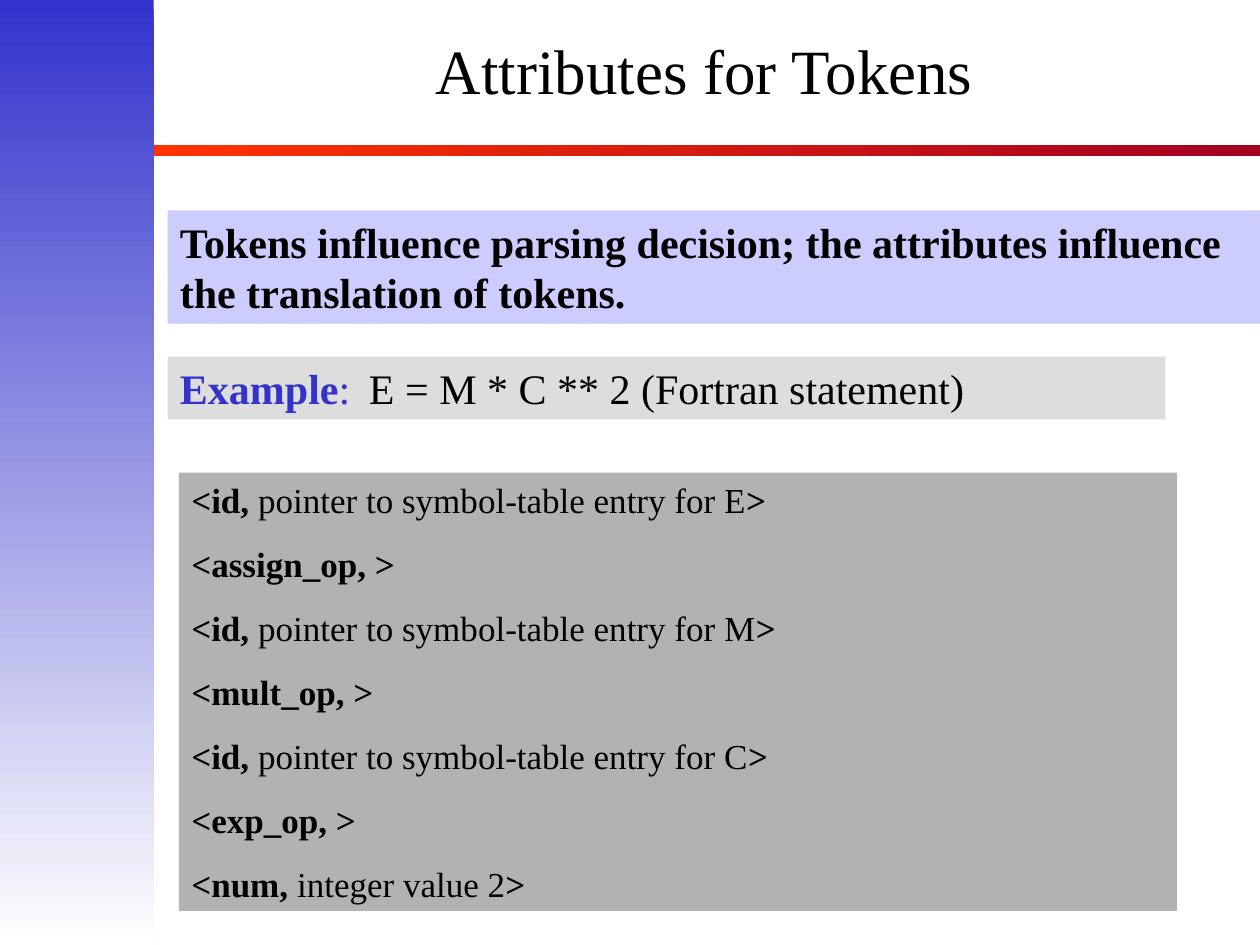
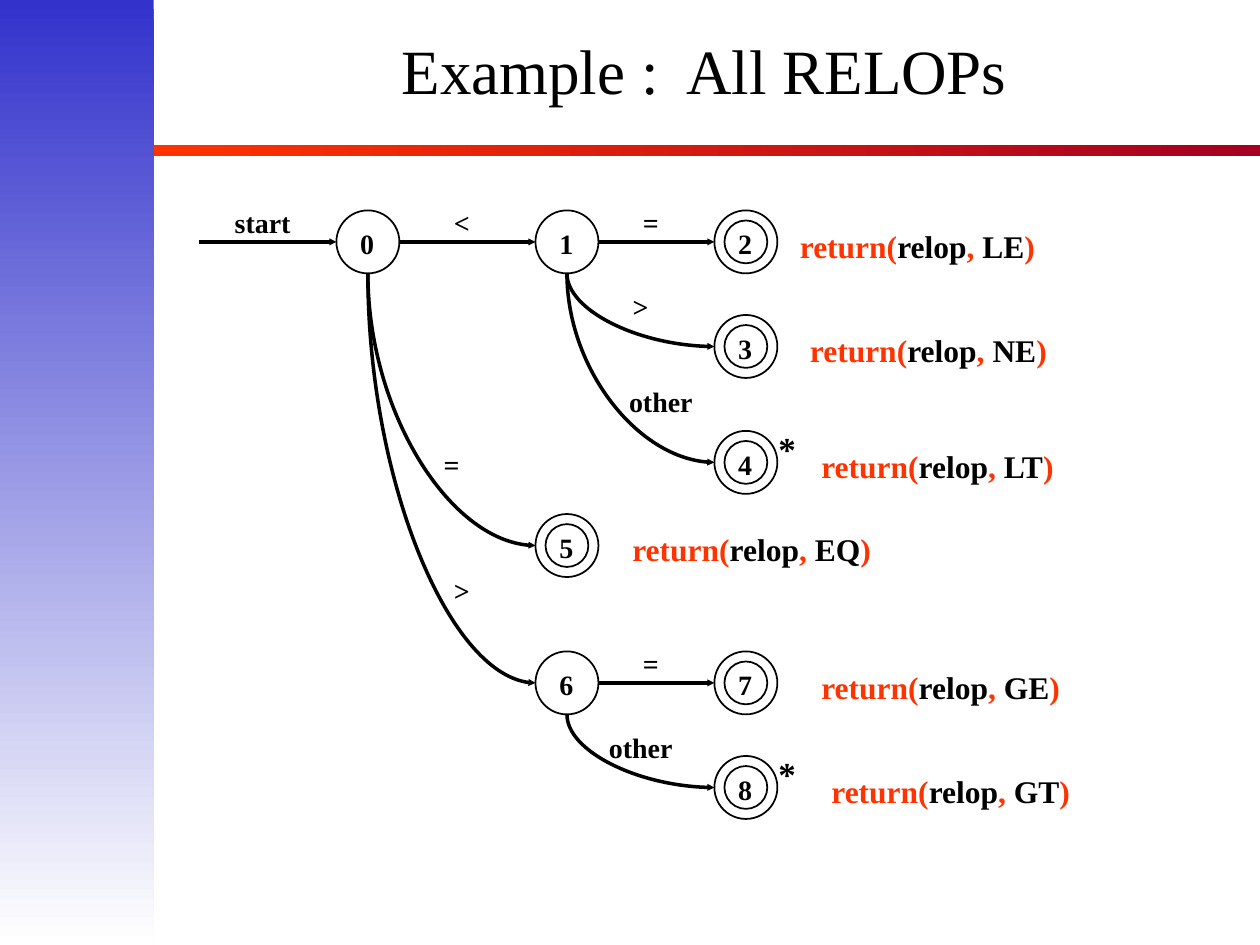
"""Build two compiler-lecture slides: token attributes and the relational-operator diagram."""
from dataclasses import dataclass
from typing import NamedTuple

from pptx import Presentation
from pptx import util as u
from pptx.dml.color import RGBColor
from pptx.enum import shapes, text
from pptx.oxml import ns
from lxml import etree


@dataclass(frozen=True)
class Theme:
    font: str = "Times New Roman"
    black: str = "000000"
    white: str = "FFFFFF"
    blue: str = "3333CC"
    orange: str = "FF3300"
    crimson: str = "A50021"
    lilac: str = "CCCCFF"
    light_grey: str = "DDDDDD"
    mid_grey: str = "B2B2B2"
    title: int = 36
    statement: int = 24
    listing: int = 20
    action: int = 18
    label: int = 16
    edge_width: float = 2
    ring_width: float = 1


THEME = Theme()
CENTER, LEFT = text.PP_ALIGN.CENTER, text.PP_ALIGN.LEFT


class Run(NamedTuple):
    text: str
    bold: bool = True
    color: str = THEME.black


class Box(NamedTuple):
    left: float
    top: float
    width: float
    height: float


@dataclass(frozen=True)
class TextBlock:
    box: Box
    paragraphs: list[list[Run]]
    size: int
    align: text.PP_ALIGN = LEFT
    fill: str | None = None
    space_before: float = 0
    line_spacing: float | None = None
    anchor: text.MSO_ANCHOR = text.MSO_ANCHOR.TOP
    auto_size: text.MSO_AUTO_SIZE = text.MSO_AUTO_SIZE.SHAPE_TO_FIT_TEXT


@dataclass(frozen=True)
class State:
    x: float
    y: float
    result: str = ""
    result_left: float = 0
    retracts: bool = False


class Edge(NamedTuple):
    source: int
    target: int
    label: str
    label_left: float
    label_top: float


RADIUS, INNER_RADIUS = 0.25, 0.17
START_X = 1.58
COLUMNS = (2.92, 4.5, 5.92)
ROWS = (1.92, 2.75, 3.67, 4.33, 5.42, 6.25)
STATES = [
    State(COLUMNS[0], ROWS[0]),
    State(COLUMNS[1], ROWS[0]),
    State(COLUMNS[2], ROWS[0], "LE", 6.25),
    State(COLUMNS[2], ROWS[1], "NE", 6.33),
    State(COLUMNS[2], ROWS[2], "LT", 6.42, True),
    State(COLUMNS[1], ROWS[3], "EQ", 4.92),
    State(COLUMNS[1], ROWS[4]),
    State(COLUMNS[2], ROWS[4], "GE", 6.42),
    State(COLUMNS[2], ROWS[5], "GT", 6.5, True),
]
EDGES = [
    Edge(0, 1, "<", 3.25, 1.58),
    Edge(1, 2, "=", 4.75, 1.58),
    Edge(1, 3, ">", 4.67, 2.25),
    Edge(1, 4, "other", 4.83, 3),
    Edge(0, 5, "=", 3.17, 3.5),
    Edge(0, 6, ">", 3.25, 4.5),
    Edge(6, 7, "=", 4.75, 5.08),
    Edge(6, 8, "other", 4.67, 5.75),
]
TOKENS = [
    ("<id, ", "pointer to symbol-table entry for E"),
    ("<assign_op, ", ""),
    ("<id, ", "pointer to symbol-table entry for M"),
    ("<mult_op, ", ""),
    ("<id, ", "pointer to symbol-table entry for C"),
    ("<exp_op, ", ""),
    ("<num, ", "integer value 2"),
]


def rgb(color: str) -> RGBColor:
    return RGBColor.from_string(color)


def apply(target, values: dict) -> None:
    for name, value in values.items():
        setattr(target, name, value)


def add_preset(slide, kind, box: Box):
    shape = slide.shapes.add_shape(kind, *map(u.Inches, box))
    shape.shadow.inherit = False
    shape.line.fill.background()
    return shape


def add_gradient(slide, box: Box, colors: tuple[str, str], angle: float) -> None:
    shape = add_preset(slide, shapes.MSO_SHAPE.RECTANGLE, box)
    shape.fill.gradient()
    shape.fill.gradient_angle = angle
    for stop, color in zip(shape.fill.gradient_stops, colors):
        stop.color.rgb = rgb(color)


def add_text(slide, block: TextBlock) -> None:
    if block.fill:
        shape = add_preset(slide, shapes.MSO_SHAPE.RECTANGLE, block.box)
        shape.fill.solid()
        shape.fill.fore_color.rgb = rgb(block.fill)
    else:
        shape = slide.shapes.add_textbox(*map(u.Inches, block.box))
    frame = shape.text_frame
    apply(frame, {"word_wrap": True, "auto_size": block.auto_size,
                  "vertical_anchor": block.anchor})
    for index, runs in enumerate(block.paragraphs):
        paragraph = frame.add_paragraph() if index else frame.paragraphs[0]
        apply(paragraph, {"alignment": block.align, "line_spacing": block.line_spacing,
                          "space_before": u.Pt(block.space_before if index else 0)})
        for item in runs:
            run = paragraph.add_run()
            run.text = item.text
            apply(run.font, {"name": THEME.font, "size": u.Pt(block.size), "bold": item.bold})
            run.font.color.rgb = rgb(item.color)


def add_label(slide, content: str, box: Box, size: int = THEME.label) -> None:
    add_text(slide, TextBlock(box, [[Run(content)]], size, CENTER))


def add_ring(slide, state: State, radius: float) -> None:
    box = Box(state.x - radius, state.y - radius, 2 * radius, 2 * radius)
    ring = add_preset(slide, shapes.MSO_SHAPE.OVAL, box)
    ring.fill.background()
    ring.line.color.rgb = rgb(THEME.black)
    ring.line.width = u.Pt(THEME.ring_width)


def add_arrow(slide, x1: float, y1: float, x2: float, y2: float) -> None:
    """Draw a straight arrow, or a curve leaving downwards when the ends differ in height."""
    connector = slide.shapes.add_connector(
        shapes.MSO_CONNECTOR.STRAIGHT, *map(u.Inches, (x1, y1, x2, y2)))
    connector.line.color.rgb = rgb(THEME.black)
    connector.line.width = u.Pt(THEME.edge_width)
    properties = connector._element.spPr
    etree.SubElement(properties.find(ns.qn("a:ln")), ns.qn("a:tailEnd"),
                     type="triangle", w="sm", len="sm")
    etree.SubElement(properties, ns.qn("a:effectLst"))
    if y1 != y2:
        across, down = x2 - x1, y2 - y1
        apply(connector, {"left": u.Inches((x1 + x2 - down) / 2),
                          "top": u.Inches((y1 + y2 - across) / 2),
                          "width": u.Inches(down), "height": u.Inches(across)})
        transform = properties.find(ns.qn("a:xfrm"))
        transform.set("rot", "16200000")
        transform.set("flipH", "1")
        properties.find(ns.qn("a:prstGeom")).set("prst", "curvedConnector2")


def add_state(slide, number: int, state: State) -> None:
    add_ring(slide, state, RADIUS)
    if state.result:
        add_ring(slide, state, INNER_RADIUS)
        runs = [Run("return(", color=THEME.orange), Run("relop"),
                Run(", ", color=THEME.orange), Run(state.result),
                Run(")", color=THEME.orange)]
        box = Box(state.result_left, state.y - 0.17, 2.92, 0.4)
        add_text(slide, TextBlock(box, [runs], THEME.action))
    add_label(slide, str(number), Box(state.x - 0.17, state.y - 0.17, 0.33, 0.37))
    if state.retracts:
        add_label(slide, "*", Box(state.x + 0.16, state.y - 0.33, 0.33, 0.44), THEME.listing)


def add_edge(slide, edge: Edge) -> None:
    source, target = STATES[edge.source], STATES[edge.target]
    if source.y == target.y:
        start = (source.x + RADIUS, source.y)
    else:
        start = (source.x, source.y + RADIUS)
    add_arrow(slide, *start, target.x - RADIUS, target.y)
    add_label(slide, edge.label, Box(edge.label_left, edge.label_top, 0.83, 0.37))


def add_base_slide(presentation, title: str):
    slide = presentation.slides.add_slide(presentation.slide_layouts[6])
    add_gradient(slide, Box(1.2, 1.15, 8.8, 0.09), (THEME.orange, THEME.crimson), 0)
    add_gradient(slide, Box(0, 0, 1.22, 7.5), (THEME.blue, THEME.white), 270)
    add_text(slide, TextBlock(
        Box(1.18, 0, 8.82, 1.22), [[Run(title, False)]], THEME.title, CENTER,
        line_spacing=0.8, anchor=text.MSO_ANCHOR.MIDDLE, auto_size=text.MSO_AUTO_SIZE.NONE))
    return slide


def build_attributes(presentation) -> None:
    slide = add_base_slide(presentation, "Attributes for Tokens")
    statement = ("Tokens influence parsing decision; "
                 "the attributes influence the translation of tokens.")
    example = [Run("Example", color=THEME.blue), Run(":\t", False, THEME.blue),
               Run("E = M * C ** 2 (Fortran statement)", False)]
    tokens = [[Run(name), Run(attribute, False), Run(">")] if attribute else [Run(name + ">")]
              for name, attribute in TOKENS]
    for block in (
        TextBlock(Box(1.33, 1.67, 8.67, 0.9), [[Run(statement)]], THEME.statement,
                  fill=THEME.lilac),
        TextBlock(Box(1.33, 2.83, 7.92, 0.5), [example], THEME.statement,
                  fill=THEME.light_grey),
        TextBlock(Box(1.42, 3.75, 7.92, 3.48), tokens, THEME.listing,
                  fill=THEME.mid_grey, space_before=12.5),
    ):
        add_text(slide, block)


def build_relops(presentation) -> None:
    slide = add_base_slide(presentation, "Example :  All RELOPs")
    first = STATES[0]
    add_arrow(slide, START_X, first.y, first.x - RADIUS, first.y)
    add_label(slide, "start", Box(1.67, 1.58, 0.83, 0.37))
    for edge in EDGES:
        add_edge(slide, edge)
    for number, state in enumerate(STATES):
        add_state(slide, number, state)


def main() -> None:
    presentation = Presentation()
    apply(presentation, {"slide_width": u.Inches(10), "slide_height": u.Inches(7.5)})
    build_attributes(presentation)
    build_relops(presentation)
    presentation.save("out.pptx")


if __name__ == "__main__":
    main()
